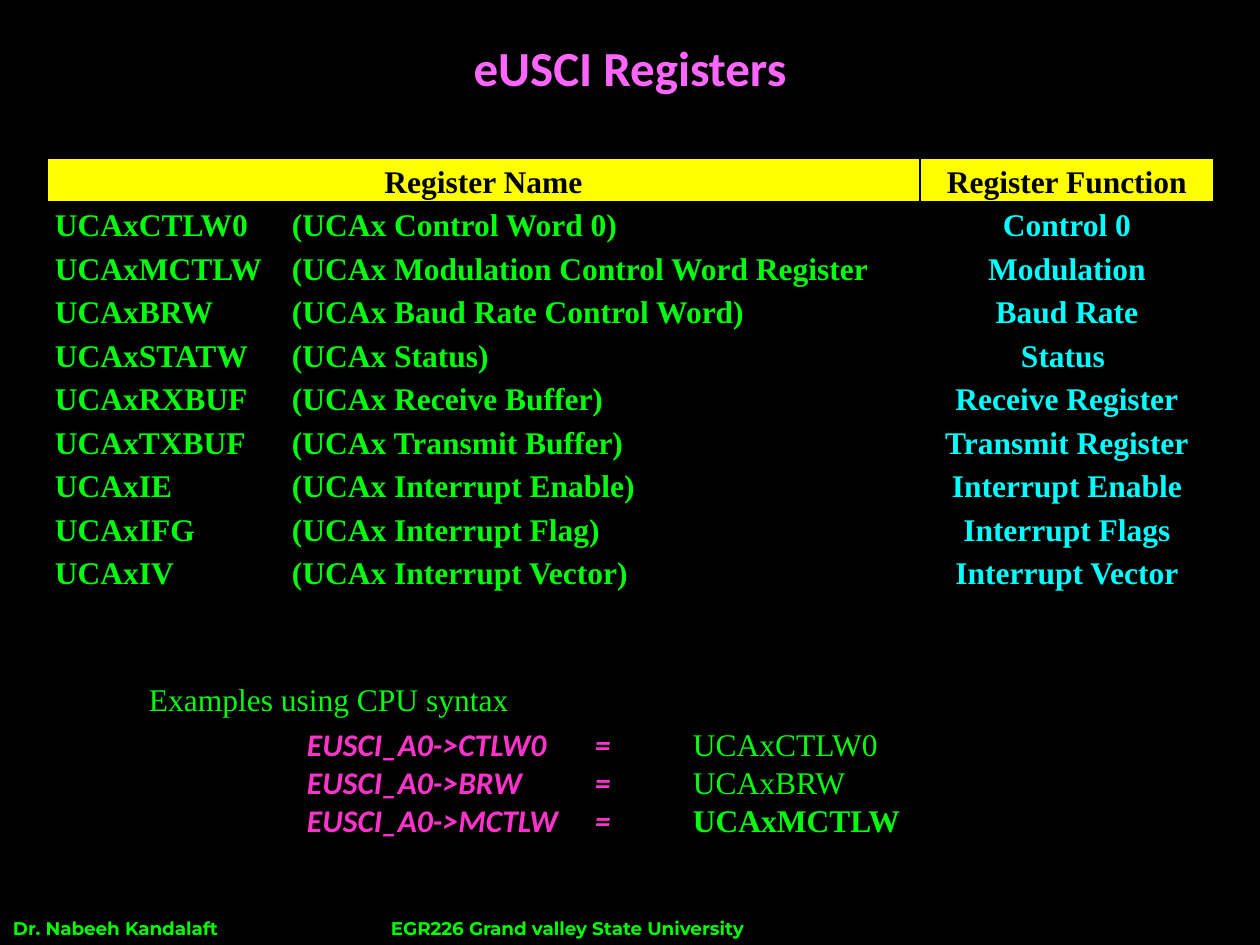
import pptx
import pptx.util
import pptx.dml.color
import pptx.enum.shapes
import pptx.enum.text
import pptx.oxml.ns
from lxml import etree

RGBColor = pptx.dml.color.RGBColor
ALIGN = pptx.enum.text.PP_ALIGN
ANCHOR = pptx.enum.text.MSO_ANCHOR

BLACK = RGBColor(0, 0, 0)
YELLOW = RGBColor(0xFF, 0xFF, 0)
CYAN = RGBColor(0, 0xFF, 0xFF)
GREEN = RGBColor(0x02, 0xFE, 0x0E)
FOOTER_GREEN = RGBColor(0, 0xFF, 0)
PINK = RGBColor(0xFF, 0x66, 0xFF)
MAGENTA = RGBColor(0xFF, 0x33, 0xCC)

SERIF, SANS, FOOTER_FONT = "Times New Roman", "Calibri", "Montserrat"
PX_PER_INCH = 126
INSET = 13

REGISTERS = [
    ("UCAxCTLW0", "(UCAx Control Word 0)", "Control 0"),
    ("UCAxMCTLW", "(UCAx Modulation Control Word Register", "Modulation"),
    ("UCAxBRW", "(UCAx Baud Rate Control Word)", "Baud Rate"),
    ("UCAxSTATW", "(UCAx Status)", "Status "),
    ("UCAxRXBUF", "(UCAx Receive Buffer)", "Receive Register"),
    ("UCAxTXBUF", "(UCAx Transmit Buffer)", "Transmit Register"),
    ("UCAxIE", "(UCAx Interrupt Enable)", "Interrupt Enable"),
    ("UCAxIFG", "(UCAx Interrupt Flag)", "Interrupt Flags"),
    ("UCAxIV", "(UCAx Interrupt Vector)", "Interrupt Vector"),
]
EXAMPLES = [("CTLW0", False), ("BRW", False), ("MCTLW", True)]


def px(length):
    return pptx.util.Emu(round(length * 914400 / PX_PER_INCH))


def add_span(para, text, font, size, color, bold=False, italic=False):
    span = para.add_run()
    span.text = text
    span.font.name = font
    span.font.size = pptx.util.Pt(size)
    span.font.color.rgb = color
    span.font.bold = bold
    span.font.italic = italic


def set_tabs(para, *stops):
    properties = para._p.get_or_add_pPr()
    tabs = etree.SubElement(properties, pptx.oxml.ns.qn("a:tabLst"))
    for stop in stops:
        etree.SubElement(tabs, pptx.oxml.ns.qn("a:tab"), pos=str(px(stop)), algn="l")


def set_frame(frame, anchor, vertical_inset):
    frame.word_wrap = True
    frame.vertical_anchor = anchor
    frame.margin_left = frame.margin_right = px(INSET)
    frame.margin_top = frame.margin_bottom = px(vertical_inset)


def add_text_box(page, left, top, width, height, anchor=ANCHOR.TOP):
    box = page.shapes.add_textbox(px(left), px(top), px(width), px(height))
    set_frame(box.text_frame, anchor, 6)
    return box.text_frame


def add_panel(page, left, top, width, height):
    panel = page.shapes.add_shape(
        pptx.enum.shapes.MSO_SHAPE.RECTANGLE, px(left), px(top), px(width), px(height))
    panel.shadow.inherit = False
    panel.fill.solid()
    panel.fill.fore_color.rgb = BLACK
    panel.line.fill.background()
    return panel


def style_cell(cell, fill=None):
    cell.vertical_anchor = ANCHOR.MIDDLE
    cell.margin_left = cell.margin_right = px(8)
    cell.margin_top = cell.margin_bottom = 0
    properties = cell._tc.get_or_add_tcPr()
    for side in ("a:lnL", "a:lnR", "a:lnT", "a:lnB"):
        line = etree.SubElement(properties, pptx.oxml.ns.qn(side), w="12700")
        solid = etree.SubElement(line, pptx.oxml.ns.qn("a:solidFill"))
        etree.SubElement(solid, pptx.oxml.ns.qn("a:srgbClr"), val=str(BLACK))
    if fill is None:
        cell.fill.background()
    else:
        cell.fill.solid()
        cell.fill.fore_color.rgb = fill


def write_cell(cell, text, color, align, fill=None):
    style_cell(cell, fill)
    para = cell.text_frame.paragraphs[0]
    if "\t" in text:
        set_tabs(para, 237)
    para.alignment = align
    para.line_spacing = 1.15
    add_span(para, text, SERIF, 18, color, bold=True)


def add_register_table(page):
    row_height = 43
    rows = len(REGISTERS) + 1
    table = page.shapes.add_table(
        rows, 2, px(47), px(158), px(1167), px(rows * row_height)).table
    table.first_row = table.horz_banding = False
    for column, width in zip(table.columns, (873, 294)):
        column.width = px(width)
    for row in table.rows:
        row.height = px(row_height)
    for index, heading in enumerate(("Register Name", "Register Function")):
        write_cell(table.cell(0, index), heading, BLACK, ALIGN.CENTER, YELLOW)
    for index, (name, meaning, function) in enumerate(REGISTERS, 1):
        write_cell(table.cell(index, 0), f"{name}\t{meaning}", GREEN, ALIGN.LEFT)
        write_cell(table.cell(index, 1), function, CYAN, ALIGN.CENTER)


def add_title(page):
    para = add_text_box(page, 87, 37, 1086, 67, ANCHOR.MIDDLE).paragraphs[0]
    para.alignment = ALIGN.CENTER
    para.line_spacing = 0.9
    add_span(para, "eUSCI Registers", SANS, 28, PINK, bold=True)


def add_footer(page):
    frame = add_panel(page, 0, 911, 1260, 35).text_frame
    set_frame(frame, ANCHOR.MIDDLE, 0)
    para = frame.paragraphs[0]
    set_tabs(para, 378)
    para.alignment = ALIGN.LEFT
    add_span(para, "Dr. Nabeeh Kandalaft\tEGR226 Grand valley State University",
             FOOTER_FONT, 10.5, FOOTER_GREEN, bold=True)


def add_examples(page):
    frame = add_text_box(page, 294, 719, 644, 127)
    for index, (register, bold) in enumerate(EXAMPLES):
        para = frame.add_paragraph() if index else frame.paragraphs[0]
        set_tabs(para, 288, 386)
        add_span(para, f"EUSCI_A0->{register}\t=\t", SANS, 18, MAGENTA, True, True)
        add_span(para, f"UCAx{register}", SERIF, 18, GREEN, bold)
    heading = add_text_box(page, 136, 674, 406, 50).paragraphs[0]
    add_span(heading, "Examples using CPU syntax", SERIF, 18, GREEN)


def main():
    deck = pptx.Presentation()
    deck.slide_width, deck.slide_height = px(1260), px(945)
    page = deck.slides.add_slide(deck.slide_layouts[6])

    # Black backdrop and heading
    add_panel(page, 0, -1, 1260, 912)
    add_title(page)

    # Register overview
    add_register_table(page)

    # Footer band and syntax examples
    add_footer(page)
    add_examples(page)
    deck.save("out.pptx")


if __name__ == "__main__":
    main()
